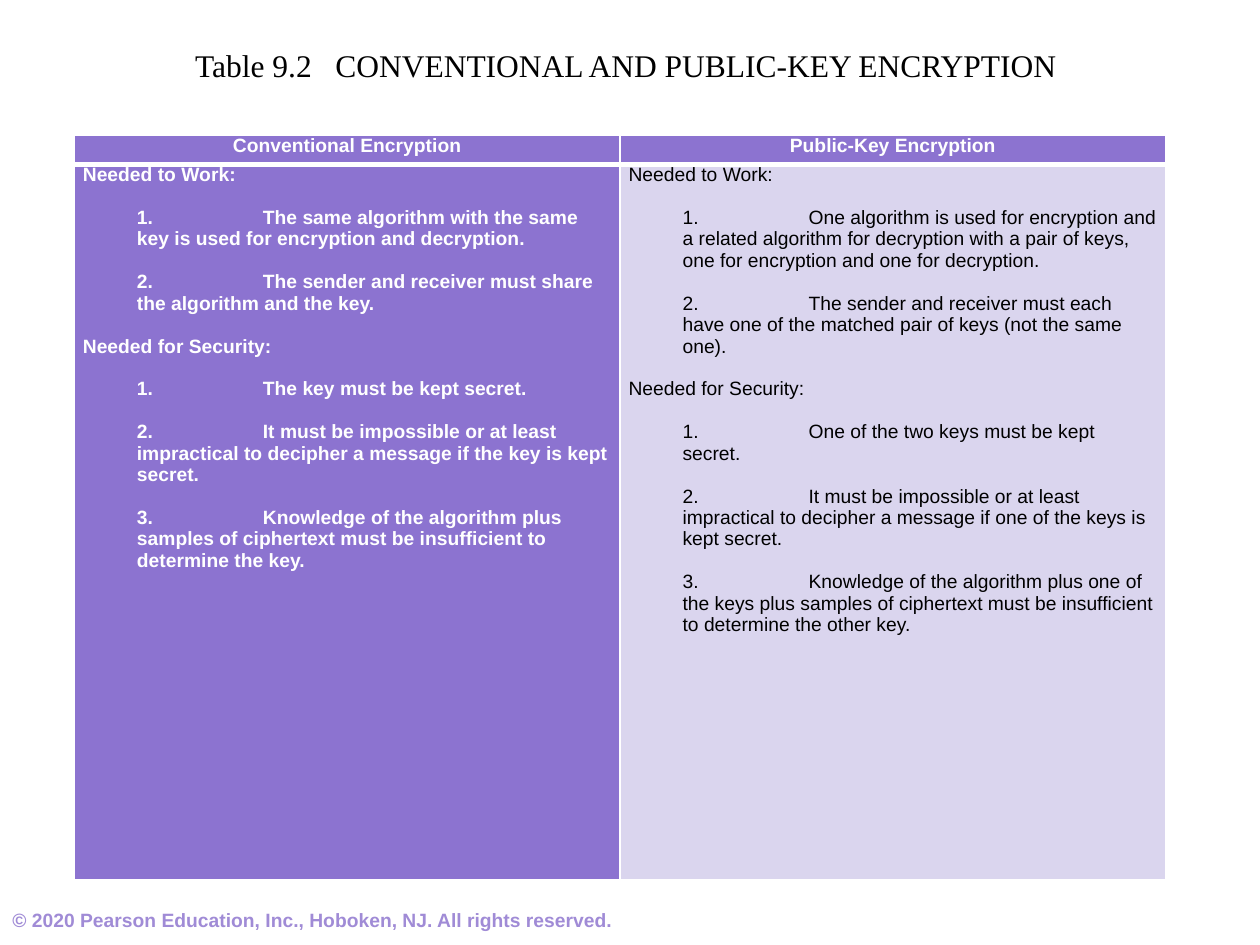
from lxml import etree
from pptx import Presentation
from pptx.dml.color import RGBColor
from pptx.enum.text import MSO_ANCHOR, PP_ALIGN
from pptx.oxml.ns import qn
from pptx.util import Cm, Pt

LEFT, CENTER = PP_ALIGN.LEFT, PP_ALIGN.CENTER
TOP, MIDDLE = MSO_ANCHOR.TOP, MSO_ANCHOR.MIDDLE
TITLE_ONLY = 5

COLORS = {
    "purple": "8C73D0",
    "lilac": "DAD5EE",
    "footer": "A08BD6",
    "white": "FFFFFF",
    "black": "000000",
}

# Each column: heading, then sections of (label, numbered points)
COLUMNS = [
    ("Conventional Encryption", [
        ("Needed to Work:", [
            "The same algorithm with the same key is used for encryption and decryption.",
            "The sender and receiver must share the algorithm and the key.",
        ]),
        ("Needed for Security:", [
            "The key must be kept secret.",
            "It must be impossible or at least impractical to decipher a message "
            "if the key is kept secret.",
            "Knowledge of the algorithm plus samples of ciphertext must be "
            "insufficient to determine the key.",
        ]),
    ]),
    ("Public-Key Encryption", [
        ("Needed to Work:", [
            "One algorithm is used for encryption and a related algorithm for decryption "
            "with a pair of keys, one for encryption and one for decryption.",
            "The sender and receiver must each have one of the matched pair of keys "
            "(not the same one).",
        ]),
        ("Needed for Security:", [
            "One of the two keys must be kept secret.",
            "It must be impossible or at least impractical to decipher a message "
            "if one of the keys is kept secret.",
            "Knowledge of the algorithm plus one of the keys plus samples of ciphertext "
            "must be insufficient to determine the other key.",
        ]),
    ]),
]


def rgb(name):
    return RGBColor.from_string(COLORS[name])


def write(p, text, font="Arial", size=11, color="black", bold=False,
          align=LEFT, before=0, indent=0, tab=2.54):
    """Fill one paragraph with one formatted run."""
    p.alignment = align
    p.space_before = Pt(before)
    if indent:
        pPr = p._p.get_or_add_pPr()
        pPr.set("marL", str(Cm(indent)))
        pPr.set("indent", "0")
        pPr.set("defTabSz", str(Cm(tab)))
    r = p.add_run()
    r.text = text
    r.font.name = font
    r.font.size = Pt(size)
    r.font.bold = bold
    r.font.color.rgb = rgb(color)


class Deck:
    PARA_GAP = 12.25
    POINT_INDENT = 1.09

    def __init__(self, prs):
        self.prs = prs
        self.s = prs.slides.add_slide(prs.slide_layouts[TITLE_ONLY])

    def title(self, text, x, y, w, h):
        sp = self.s.shapes.title
        sp.left, sp.top, sp.width, sp.height = Cm(x), Cm(y), Cm(w), Cm(h)
        tf = sp.text_frame
        tf.word_wrap = True
        tf.vertical_anchor = MIDDLE
        write(tf.paragraphs[0], text, font="Times New Roman", size=18, align=CENTER)

    def textbox(self, text, x, y, w, h, **style):
        tf = self.s.shapes.add_textbox(Cm(x), Cm(y), Cm(w), Cm(h)).text_frame
        tf.word_wrap = True
        tf.vertical_anchor = MIDDLE
        write(tf.paragraphs[0], text, **style)

    def borders(self, cell, **widths):
        tcPr = cell._tc.get_or_add_tcPr()
        for side in "LRTB":
            ln = etree.SubElement(tcPr, qn(f"a:ln{side}"), w=str(Pt(widths.get(side, 1))))
            fill = etree.SubElement(ln, qn("a:solidFill"))
            etree.SubElement(fill, qn("a:srgbClr"), val=COLORS["white"])

    def cell(self, cell, fill, **widths):
        cell.margin_left = cell.margin_right = Cm(0.17)
        cell.margin_top = cell.margin_bottom = 0
        cell.vertical_anchor = TOP
        self.borders(cell, **widths)
        cell.fill.solid()
        cell.fill.fore_color.rgb = rgb(fill)
        return cell.text_frame

    def sections(self, tf, sections, **style):
        p = tf.paragraphs[0]
        for i, (label, points) in enumerate(sections):
            if i:
                p = tf.add_paragraph()
            write(p, label, before=self.PARA_GAP if i else 0, **style)
            for number, point in enumerate(points, 1):
                write(tf.add_paragraph(), f"{number}.\t{point}",
                      before=self.PARA_GAP, indent=self.POINT_INDENT, **style)

    def comparison(self, columns, x, y, col_width, row_heights):
        table = self.s.shapes.add_table(
            len(row_heights), len(columns), Cm(x), Cm(y),
            Cm(col_width * len(columns)), Cm(sum(row_heights))).table
        table.first_row = table.horz_banding = False
        for row, height in zip(table.rows, row_heights):
            row.height = Cm(height)
        body_styles = [("purple", "white", True), ("lilac", "black", False)]
        for c, ((heading, sections), (fill, color, bold)) in enumerate(
                zip(columns, body_styles)):
            table.columns[c].width = Cm(col_width)
            head = self.cell(table.cell(0, c), "purple", B=3)
            write(head.paragraphs[0], heading, color="white", bold=True, align=CENTER)
            body = self.cell(table.cell(1, c), fill, T=3)
            self.sections(body, sections, color=color, bold=bold)


def main():
    prs = Presentation()
    prs.slide_width, prs.slide_height = Cm(25.4), Cm(19.05)
    deck = Deck(prs)

    # Title
    deck.title("Table 9.2   CONVENTIONAL AND PUBLIC-KEY ENCRYPTION", 0, 0.79, 25.24, 1.02)

    # Comparison table
    deck.comparison(COLUMNS, x=1.5, y=2.73, col_width=11, row_heights=[0.58, 14.42])

    # Copyright line
    deck.textbox("© 2020 Pearson Education, Inc., Hoboken, NJ. All rights reserved.",
                 0, 18.03, 12.7, 1.02, color="footer", bold=True)

    prs.save("out.pptx")


if __name__ == "__main__":
    main()
